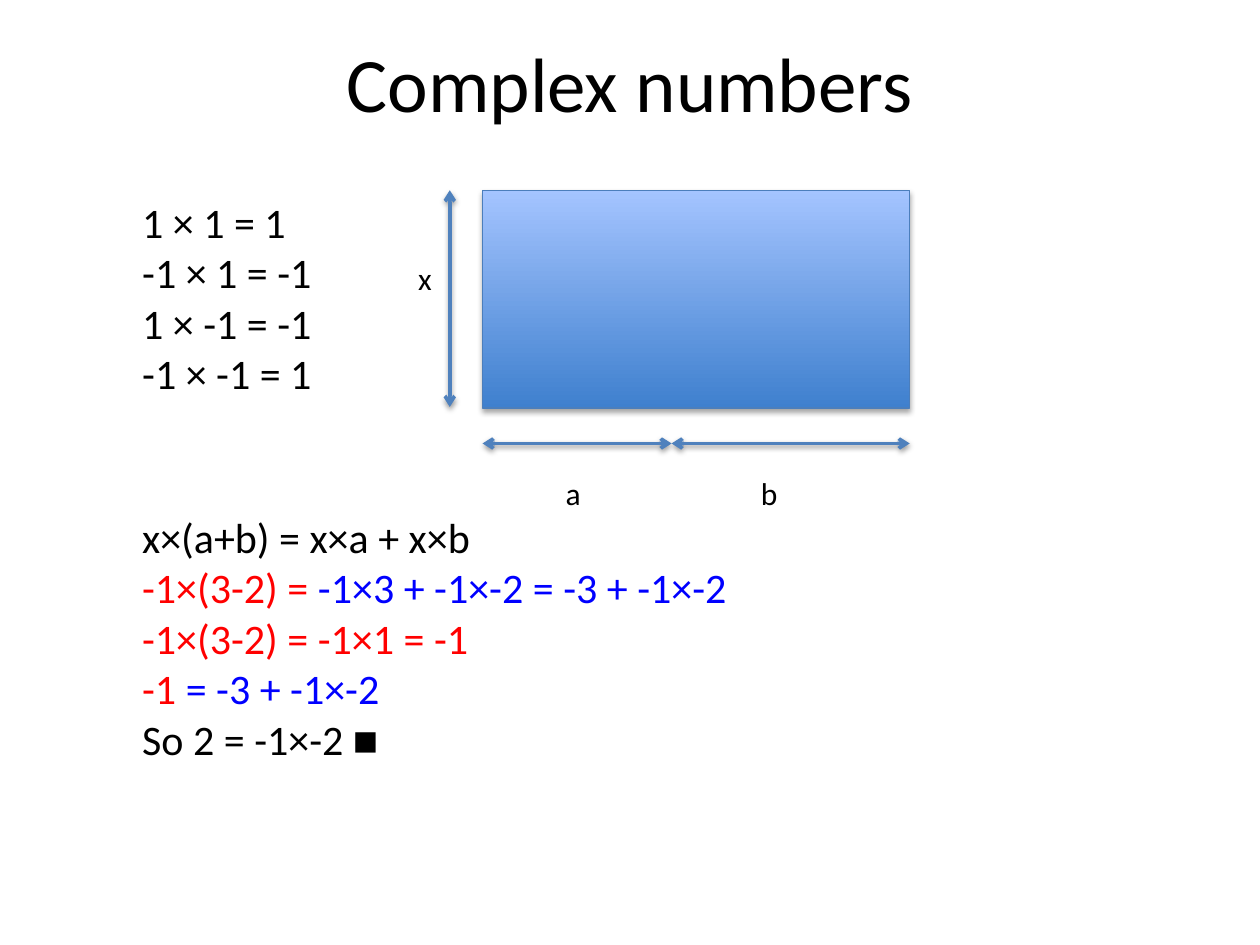
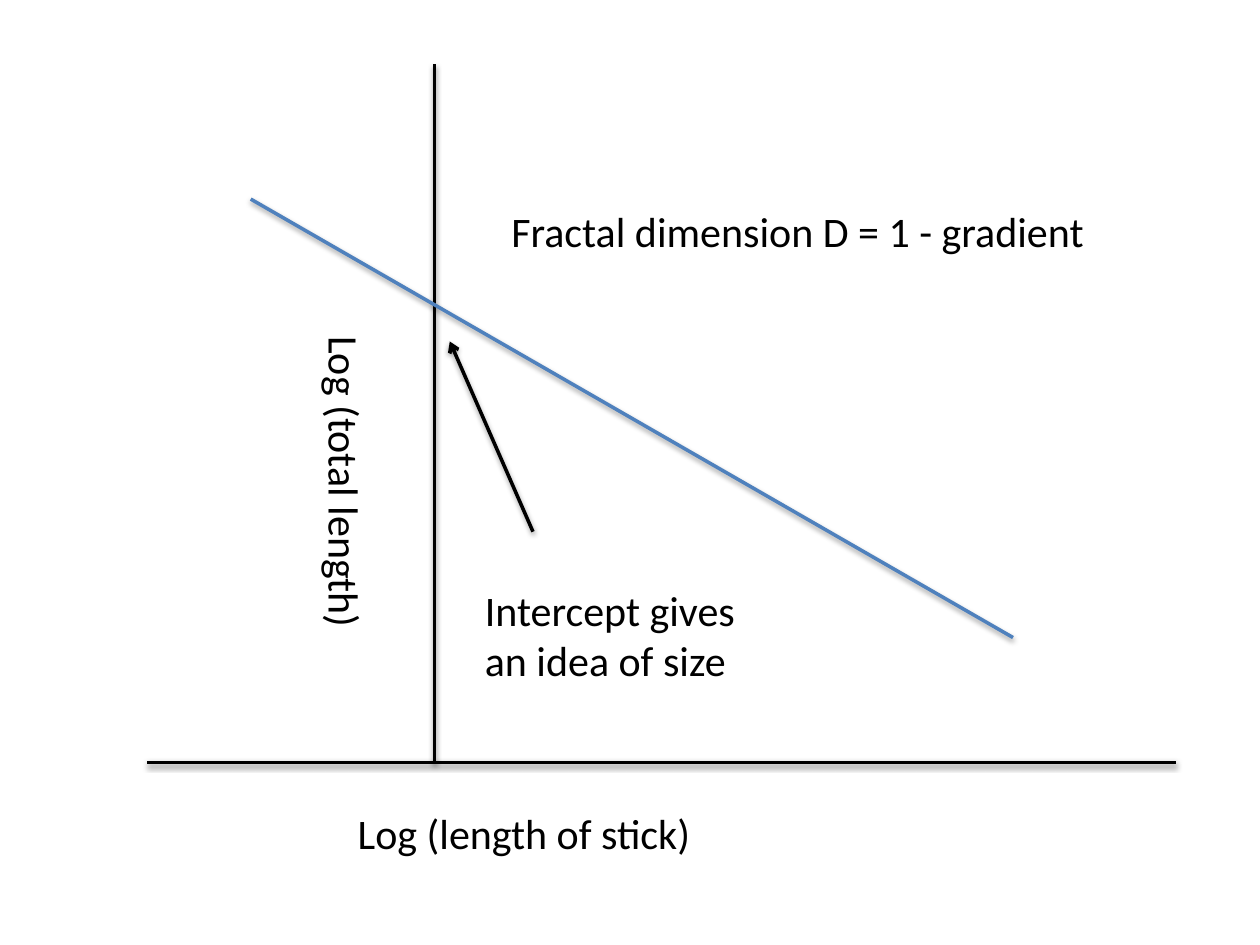
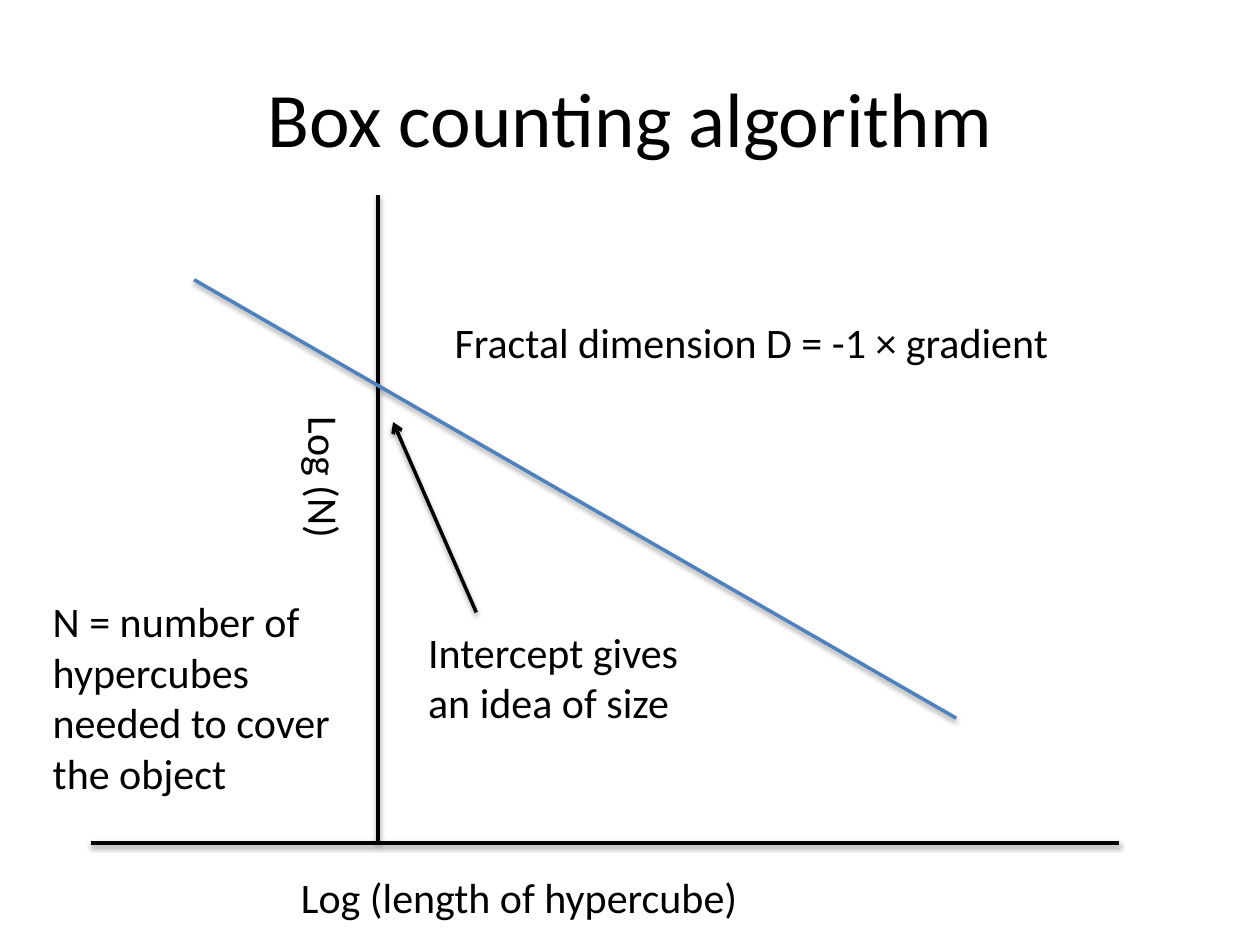
from lxml import etree
from pptx import Presentation
from pptx.dml.color import RGBColor
from pptx.enum.shapes import MSO_CONNECTOR, MSO_SHAPE
from pptx.enum.text import MSO_ANCHOR, PP_ALIGN
from pptx.oxml import parse_xml
from pptx.oxml.ns import nsdecls, qn
from pptx.util import Inches, Pt

STRAIGHT = MSO_CONNECTOR.STRAIGHT
RECTANGLE = MSO_SHAPE.RECTANGLE
MIDDLE, TOP = MSO_ANCHOR.MIDDLE, MSO_ANCHOR.TOP
CENTER, LEFT = PP_ALIGN.CENTER, PP_ALIGN.LEFT

COLORS = {
    "black": "000000",
    "red": "FF0000",
    "blue": "0000FF",
    "accent": "4F81BD",
    "edge": "4B7EBC",
    "deep": "3F80CE",
    "pale": "A4C4FF",
}
FONT = "Calibri"
BLANK_LAYOUT = 6


def rgb(name):
    return RGBColor.from_string(COLORS[name])


class Sketch:
    """Holds the deck, its style and the current slide."""

    def __init__(self):
        self.deck = Presentation()
        self.deck.slide_width, self.deck.slide_height = Inches(10), Inches(7.5)
        self.page = None

    def new_page(self):
        self.page = self.deck.slides.add_slide(self.deck.slide_layouts[BLANK_LAYOUT])

    def text(self, place, lines, size=24, anchor=TOP, align=LEFT, turn=0):
        """Each line is a string or a list of (text, color, font) spans."""
        box = self.page.shapes.add_textbox(*map(Inches, place))
        box.rotation = turn
        frame = box.text_frame
        for name, value in {"word_wrap": True, "vertical_anchor": anchor}.items():
            setattr(frame, name, value)
        for index, line in enumerate(lines):
            para = frame.paragraphs[0] if index == 0 else frame.add_paragraph()
            para.alignment = align
            spans = [(line, "black", FONT)] if isinstance(line, str) else line
            for words, color, font in spans:
                span = para.add_run()
                span.text = words
                for name, value in {"name": font, "size": Pt(size)}.items():
                    setattr(span.font, name, value)
                span.font.color.rgb = rgb(color)

    def title(self, top, words):
        self.text((0.5, top, 9, 1.25), [words], 44, MIDDLE, CENTER)

    def shadow(self, item, opacity=38, distance=1.6):
        """Adds a soft shadow that falls straight down."""
        item._element.spPr.append(parse_xml(
            f'<a:effectLst {nsdecls("a")}>'
            f'<a:outerShdw blurRad="{Pt(3.1)}" dist="{Pt(distance)}" dir="5400000" rotWithShape="0">'
            f'<a:srgbClr val="{COLORS["black"]}"><a:alpha val="{opacity * 1000}"/></a:srgbClr>'
            '</a:outerShdw></a:effectLst>'))

    def line(self, start, end, color="black", arrows=()):
        connector = self.page.shapes.add_connector(STRAIGHT, *map(Inches, (*start, *end)))
        connector.line.color.rgb = rgb(color)
        connector.line.width = Pt(2)
        for arrow in arrows:
            etree.SubElement(connector.get_or_add_ln(), qn(f"a:{arrow}"), type="arrow")
        self.shadow(connector)

    def rectangle(self, place):
        shape = self.page.shapes.add_shape(RECTANGLE, *map(Inches, place))
        shape.fill.gradient()
        shape.fill.gradient_angle = 90
        for stop, color in zip(shape.fill.gradient_stops, ("deep", "pale")):
            stop.color.rgb = rgb(color)
        shape.line.color.rgb = rgb("edge")
        shape.line.width = Pt(0.75)
        self.shadow(shape, 35, 1.8)

    def graph(self, left, base, top):
        """Draws the axes, the falling trend and the pointer to its intercept."""
        def point(across, up):
            return left + across, base - up

        self.line(point(0, 0), point(8.16, 0))
        self.line(point(2.28, 0), (left + 2.28, top))
        self.line(point(0.82, 4.47), point(6.87, 0.99), "accent")
        self.line(point(3.06, 1.83), point(2.4, 3.34), arrows=["tailEnd"])

    def graph_labels(self, left, across, upright, formula, intercept_top):
        """Across, upright and formula pair a text with its top."""
        self.text((left + 1.57, across[1], 5.42, 0.5), [across[0]])
        self.text((*upright[1], 2.92, 0.5), [upright[0]], turn=90)
        self.text((left + 2.79, formula[1], 5.37, 0.5), [formula[0]])
        self.text((left + 2.58, intercept_top, 2.44, 0.91),
                  ["Intercept gives", "an idea of size"])


def complex_numbers(sketch):
    sketch.new_page()
    sketch.title(0.02, "Complex numbers")
    sketch.text((1.03, 1.51, 1.65, 1.72),
                ["1 × 1 = 1", "-1 × 1 = -1", "1 × -1 = -1", "-1 × -1 = 1"])

    # Rectangle with its measured sides
    left, split, right, top = 3.83, 5.33, 7.22, 1.51
    sketch.rectangle((left, top, right - left, 1.73))
    for start, end in (((left, 3.52), (split, 3.52)),
                       ((split, 3.52), (right, 3.52)),
                       ((3.57, top), (3.57, 3.23))):
        sketch.line(start, end, "accent", ["headEnd", "tailEnd"])
    for name, across, down in (("x", 3.22, 2.01), ("a", 4.39, 3.71), ("b", 5.94, 3.71)):
        sketch.text((across, down, 0.42, 0.4), [name], 18)

    # Proof
    sketch.text((1.03, 4.01, 4.96, 2.93), [
        "x×(a+b) = x×a + x×b",
        [("-1×(3-2) = ", "red", FONT), ("-1×3 + -1×-2 = -3 + -1×-2", "blue", FONT)],
        [("-1×(3-2) = -1×1 = -1", "red", FONT)],
        [("-1 ", "red", FONT), ("= -3 + -1×-2", "blue", FONT)],
        [("So 2 = -1×-2 ", "black", FONT), ("■", "black", "Arial")],
    ])


def stick_length(sketch):
    sketch.new_page()
    left = 1.17
    sketch.graph(left, 6.05, 0.51)
    sketch.graph_labels(left, ("Log (length of stick)", 6.36),
                        ("Log (total length)", (1.28, 3.78)),
                        ("Fractal dimension D = 1 - gradient", 1.58), 4.59)


def box_counting(sketch):
    sketch.new_page()
    sketch.title(0.3, "Box counting algorithm")
    left = 0.72
    sketch.graph(left, 6.69, 1.55)
    sketch.graph_labels(left, ("Log (length of hypercube)", 6.87),
                        ("Log (N)", (1.12, 4.42)),
                        ("Fractal dimension D = -1 × gradient", 2.46), 4.92)
    sketch.text((0.32, 4.68, 2.51, 1.72),
                ["N = number of hypercubes needed to cover the object"])


def main():
    sketch = Sketch()
    complex_numbers(sketch)
    stick_length(sketch)
    box_counting(sketch)
    sketch.deck.save("out.pptx")


if __name__ == "__main__":
    main()
